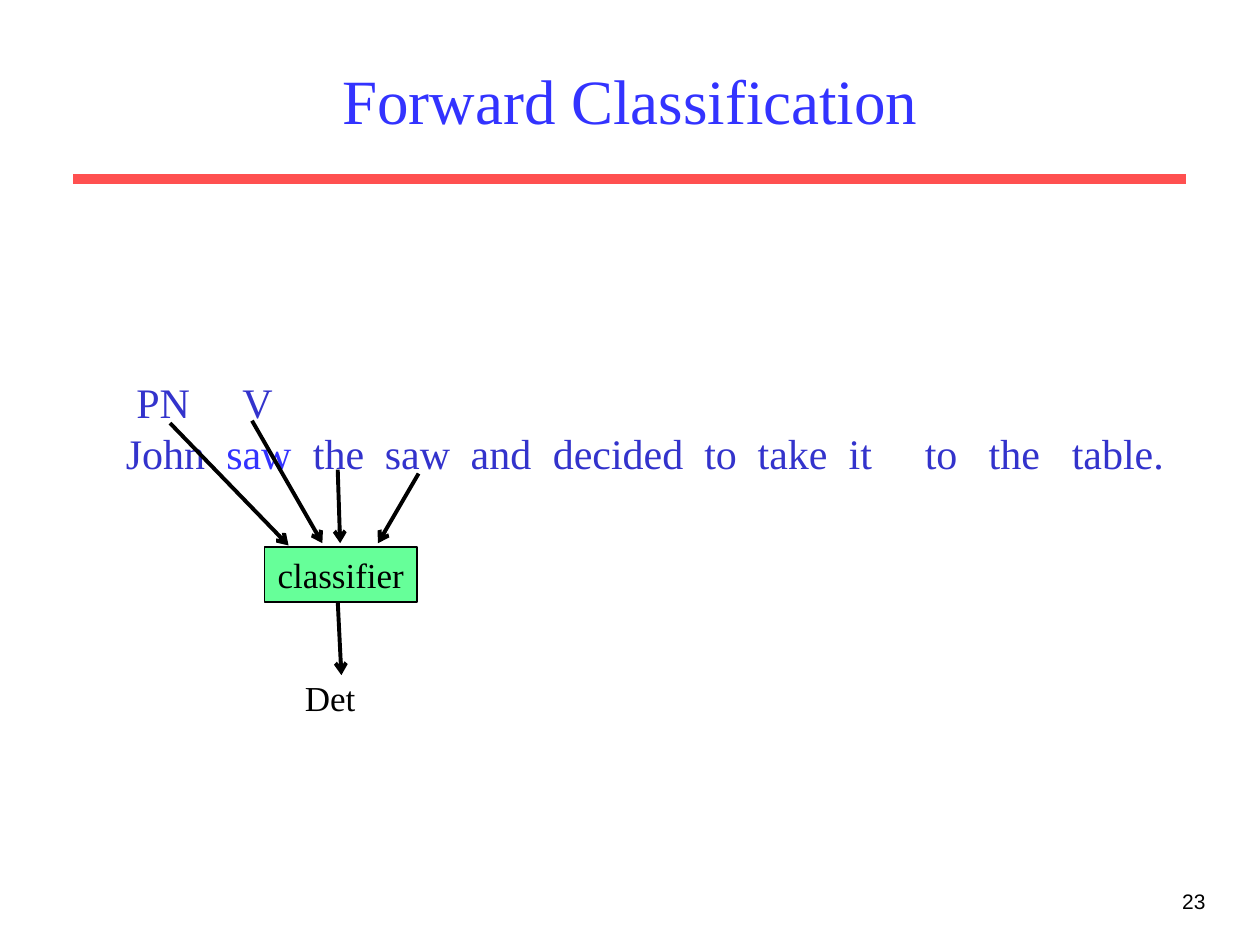
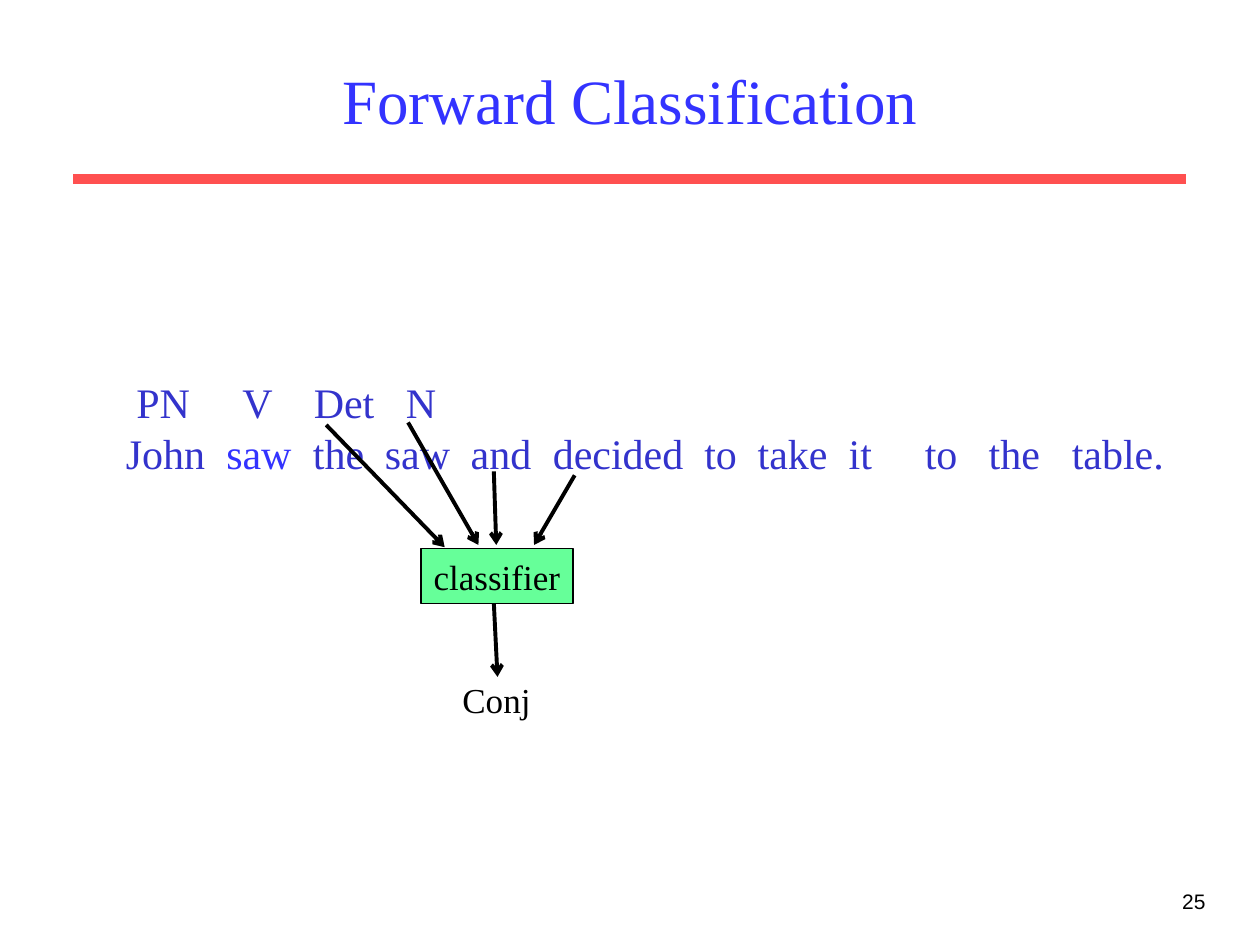
"""Build two slides that show forward classification of a sentence."""
import dataclasses

import pptx
import pptx.dml.color
import pptx.enum.shapes
import pptx.enum.text
import pptx.oxml.ns
import pptx.util
from lxml import etree

Pt = pptx.util.Pt
Align = pptx.enum.text.PP_ALIGN
Anchor = pptx.enum.text.MSO_ANCHOR
qn = pptx.oxml.ns.qn


def rgb(code):
    return pptx.dml.color.RGBColor.from_string(code)


def assign(target, values):
    for name, value in values.items():
        setattr(target, name, value)


@dataclasses.dataclass(frozen=True)
class Theme:
    blue: str = "3333FF"
    navy: str = "3333CC"
    red: str = "FF5050"
    green: str = "66FF99"
    black: str = "000000"
    serif: str = "Times New Roman"
    sans: str = "Arial"
    title: float = 36
    body: float = 24
    label: float = 20
    small: float = 12
    band: float = 6
    arrow: float = 2.25
    edge: float = 1


class Deck:
    def __init__(self, theme):
        self.theme = theme
        self.file = pptx.Presentation()
        assign(self.file, {"slide_width": Pt(720), "slide_height": Pt(540)})
        self.slide = None

    def start(self, title, number):
        t = self.theme
        self.slide = self.file.slides.add_slide(self.file.slide_layouts[5])
        self.line((42, 102.2), (678, 102.2), t.red, t.band)
        self.text((546, 504, 150, 36), str(number), t.small, Align.RIGHT, t.sans)
        head = self.slide.shapes.title
        self.place(head, (54, 18, 612, 78))
        self.frame(head, Anchor.MIDDLE)
        self.label(head, title, t.title, Align.CENTER, t.serif, t.blue)

    def place(self, shape, box):
        sides = ("left", "top", "width", "height")
        assign(shape, dict(zip(sides, map(Pt, box))))

    def frame(self, shape, anchor=Anchor.TOP):
        assign(shape.text_frame, {
            "word_wrap": True,
            "auto_size": pptx.enum.text.MSO_AUTO_SIZE.NONE,
            "vertical_anchor": anchor,
        })

    def add_run(self, para, text, size, font, color):
        run = para.add_run()
        run.text = text
        assign(run.font, {"size": Pt(size), "name": font})
        run.font.color.rgb = rgb(color)

    def label(self, shape, text, size, align, font, color):
        para = shape.text_frame.paragraphs[0]
        para.alignment = align
        self.add_run(para, text, size, font, color)

    def text(self, box, text, size, align, font):
        shape = self.slide.shapes.add_textbox(*map(Pt, box))
        self.frame(shape)
        self.label(shape, text, size, align, font, self.theme.black)

    def line(self, start, end, color, width, arrow=False):
        kind = pptx.enum.shapes.MSO_CONNECTOR.STRAIGHT
        link = self.slide.shapes.add_connector(kind, *map(Pt, (*start, *end)))
        link.line.color.rgb = rgb(color)
        link.line.width = Pt(width)
        props = link.element.spPr
        if arrow:
            etree.SubElement(props.find(qn("a:ln")), qn("a:tailEnd"), type="arrow")
        etree.SubElement(props, qn("a:effectLst"))

    def block(self, box, text):
        t = self.theme
        kind = pptx.enum.shapes.MSO_SHAPE.RECTANGLE
        shape = self.slide.shapes.add_shape(kind, *map(Pt, box))
        shape.shadow.inherit = False
        shape.fill.solid()
        shape.fill.fore_color.rgb = rgb(t.green)
        shape.line.color.rgb = rgb(t.black)
        shape.line.width = Pt(t.edge)
        self.frame(shape, Anchor.MIDDLE)
        self.label(shape, text, t.label, Align.CENTER, t.serif, t.black)

    def rows(self, box, rows):
        t = self.theme
        shape = self.slide.shapes.add_textbox(*map(Pt, box))
        self.frame(shape)
        frame = shape.text_frame
        frame.margin_right = 0
        for index, (stops, runs) in enumerate(rows):
            para = frame.add_paragraph() if index else frame.paragraphs[0]
            tabs = etree.SubElement(para._p.get_or_add_pPr(), qn("a:tabLst"))
            for stop in stops:
                etree.SubElement(tabs, qn("a:tab"), pos=str(Pt(stop)), algn="l")
            for text, color in runs:
                self.add_run(para, text, t.body, t.serif, color)

    def tree(self, left, top, answer, width):
        t = self.theme
        for x1, y1, x2, y2 in LINKS:
            self.line((left + x1, top + y1), (left + x2, top + y2),
                      t.black, t.arrow, True)
        self.block((left, top, 87.2, 31.5), "classifier")
        self.text((left + 15.5, top + 70.8, width, 31.5), answer, t.label,
                  Align.CENTER, t.serif)


LINKS = [
    (-54, -70.6, 13.7, -0.7),
    (-7.2, -72, 33, -2),
    (41.8, -44, 43.2, -2),
    (88, -41.8, 64.8, -2),
    (41.8, 31.2, 43.9, 73.4),
]
WORDS = ["the", "saw", "and", "decided", "to", "take", "it", "to", "the", "table."]
WORD_STOPS = [57.4, 106.9, 148, 197.1, 244, 330.6, 361.1, 413.1, 456.6, 493.1, 540.6]
TAG_STOPS = [66.6, 107.4, 160]
STEPS = [
    (23, ["PN", "V"], 151.2, 312.4, "Det", 44),
    (25, ["PN", "V", "Det", "N"], 240.4, 313.4, "Conj", 55.6),
]


def main():
    theme = Theme()
    deck = Deck(theme)
    for number, tags, left, top, answer, width in STEPS:
        deck.start("Forward Classification", number)
        deck.rows((64.8, 211.7, 608, 64.8), [
            (TAG_STOPS, [(" " + "\t".join(tags), theme.navy)]),
            (WORD_STOPS, [
                ("John\t", theme.navy),
                ("saw", theme.blue),
                ("\t" + "\t".join(WORDS), theme.navy),
            ]),
        ])
        deck.tree(left, top, answer, width)
    deck.file.save("out.pptx")


if __name__ == "__main__":
    main()
